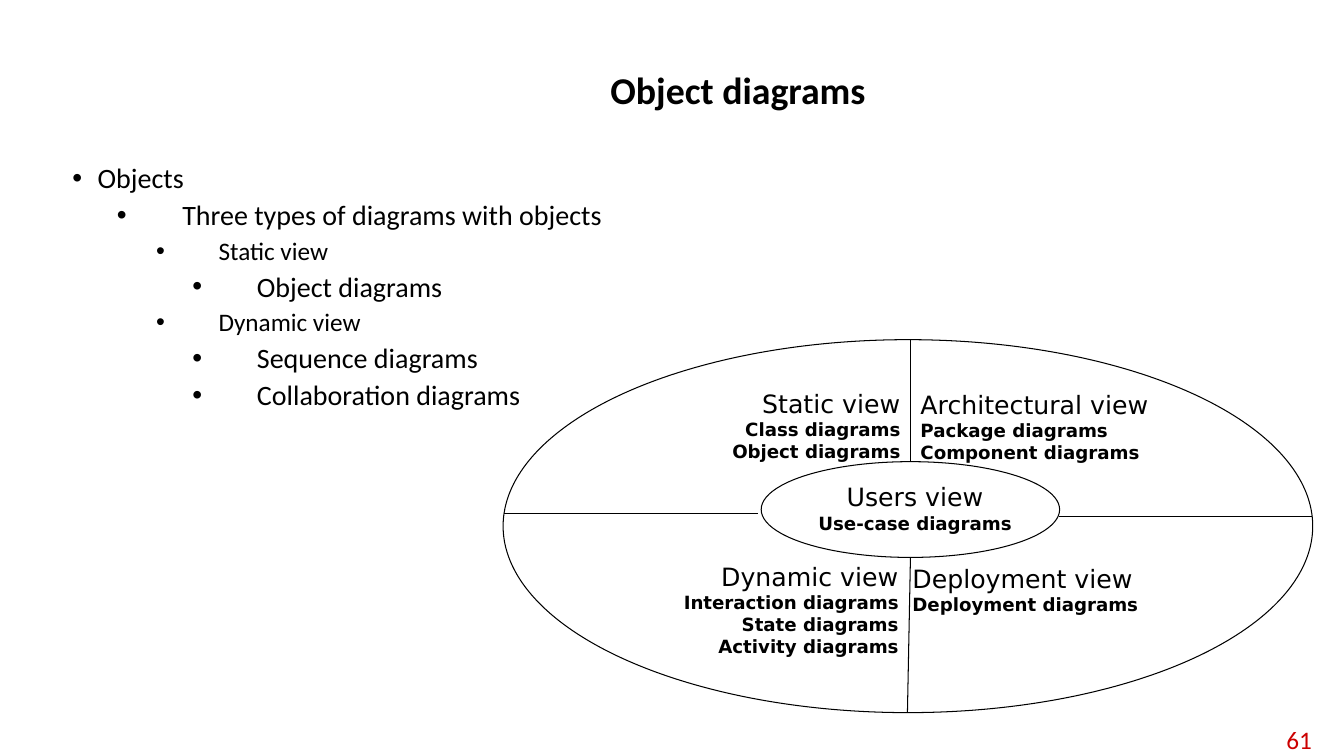
from dataclasses import dataclass

from lxml import etree
from pptx import Presentation
from pptx import util as u
from pptx.dml import color
from pptx.enum import shapes, text
from pptx.oxml import ns

LEFT, MID, RIGHT = text.PP_ALIGN.LEFT, text.PP_ALIGN.CENTER, text.PP_ALIGN.RIGHT
INK = "000000"


@dataclass
class Box:
    left: float
    top: float
    width: float
    height: float


@dataclass
class View:
    box: Box
    align: text.PP_ALIGN
    title: str
    lines: list[str]


@dataclass
class Line:
    start: tuple[float, float]
    end: tuple[float, float]


@dataclass
class Level:
    margin: float
    hang: float
    size: int


@dataclass
class Item:
    level: int
    label: str


OVALS = [Box(4.99, 3.37, 8.03, 3.7), Box(7.55, 4.58, 2.96, 0.95)]
LINES = [
    Line((9.03, 3.37), (9.03, 4.58)),
    Line((9.03, 5.53), (9, 7.07)),
    Line((5, 5.09), (7.52, 5.09)),
    Line((10.5, 5.12), (13.01, 5.12)),
]
VIEWS = [
    View(Box(7.08, 3.8, 1.9, 0.99), RIGHT, "Static view",
         ["Class diagrams", "Object diagrams"]),
    View(Box(9, 5.54, 2.5, 0.73), LEFT, "Deployment view",
         ["Deployment diagrams"]),
    View(Box(6.54, 5.52, 2.42, 1.24), RIGHT, "Dynamic view",
         ["Interaction diagrams", "State diagrams", "Activity diagrams"]),
    View(Box(7.99, 4.73, 2.17, 0.73), MID, "Users view",
         ["Use-case diagrams"]),
    View(Box(9.08, 3.81, 2.53, 0.99), LEFT, "Architectural view",
         ["Package diagrams", "Component diagrams"]),
]
LEVELS = [
    Level(0.25, 0.25, 20),
    Level(1.09, 0.65, 20),
    Level(1.45, 0.62, 18),
    Level(1.83, 0.64, 20),
]
ITEMS = [
    Item(0, "Objects"),
    Item(1, "Three types of diagrams with objects"),
    Item(2, "Static view"),
    Item(3, "Object diagrams"),
    Item(2, "Dynamic view"),
    Item(3, "Sequence diagrams"),
    Item(3, "Collaboration diagrams"),
]


def paint(code: str) -> color.RGBColor:
    return color.RGBColor.from_string(code)


def place(box: Box) -> list[int]:
    return [u.Inches(n) for n in (box.left, box.top, box.width, box.height)]


def add_frame(slide, box: Box, anchor=text.MSO_ANCHOR.TOP):
    frame = slide.shapes.add_textbox(*place(box)).text_frame
    frame.word_wrap = True
    frame.vertical_anchor = anchor
    return frame


def add_para(frame, first: bool):
    return frame.paragraphs[0] if first else frame.add_paragraph()


def add_run(para, label: str, size: int, face: str = "Calibri",
            bold: bool = False, ink: str = INK) -> None:
    run = para.add_run()
    run.text = label
    run.font.name = face
    run.font.size = u.Pt(size)
    run.font.bold = bold
    run.font.color.rgb = paint(ink)


def add_label(slide, box: Box, label: str, size: int, align,
              bold: bool = False, ink: str = INK) -> None:
    para = add_frame(slide, box, text.MSO_ANCHOR.MIDDLE).paragraphs[0]
    para.alignment = align
    para.line_spacing = 0.9 if bold else 1.0
    add_run(para, label, size, bold=bold, ink=ink)


def add_list(slide, box: Box, items: list[Item]) -> None:
    frame = add_frame(slide, box)
    for pos, item in enumerate(items):
        level = LEVELS[item.level]
        para = add_para(frame, pos == 0)
        props = para._p.get_or_add_pPr()
        props.set("marL", str(u.Inches(level.margin)))
        props.set("indent", str(-u.Inches(level.hang)))
        etree.SubElement(props, ns.qn("a:buFont")).set("typeface", "Arial")
        etree.SubElement(props, ns.qn("a:buChar")).set("char", "•")
        para.level = item.level
        para.line_spacing = 0.9
        para.space_before = u.Pt(5 if pos else 0)
        add_run(para, item.label, level.size)


def add_oval(slide, box: Box) -> None:
    oval = slide.shapes.add_shape(shapes.MSO_SHAPE.OVAL, *place(box))
    oval.shadow.inherit = False
    oval.fill.background()
    oval.line.color.rgb = paint(INK)
    oval.line.width = u.Pt(0.75)


def add_line(slide, line: Line) -> None:
    ends = [u.Inches(n) for n in line.start + line.end]
    link = slide.shapes.add_connector(shapes.MSO_CONNECTOR.STRAIGHT, *ends)
    link.line.color.rgb = paint(INK)
    link.line.width = u.Pt(0.75)
    etree.SubElement(link._element.spPr, ns.qn("a:effectLst"))


def add_view(slide, view: View) -> None:
    frame = add_frame(slide, view.box)
    frame.word_wrap = False
    frame.auto_size = text.MSO_AUTO_SIZE.SHAPE_TO_FIT_TEXT
    frame.margin_left = frame.margin_right = u.Inches(0.05)
    frame.margin_top = frame.margin_bottom = u.Inches(0.05)
    for pos, label in enumerate([view.title, *view.lines]):
        para = add_para(frame, pos == 0)
        para.alignment = view.align
        add_run(para, label, 13 if pos else 18, "DejaVu Sans", pos > 0)


def main() -> None:
    deck = Presentation()
    deck.slide_width = u.Inches(13.33)
    deck.slide_height = u.Inches(7.5)
    slide = deck.slides.add_slide(deck.slide_layouts[6])
    add_label(slide, Box(12.42, 7.16, 0.69, 0.36), "61", 18, RIGHT, ink="CC0000")
    add_label(slide, Box(2.23, 0.4, 10.18, 1.02), "Object diagrams", 27, MID, True)
    add_list(slide, Box(0.62, 1.58, 11.8, 5.17), ITEMS)
    for oval in OVALS:
        add_oval(slide, oval)
    for line in LINES:
        add_line(slide, line)
    for view in VIEWS:
        add_view(slide, view)
    deck.save("out.pptx")


if __name__ == "__main__":
    main()
